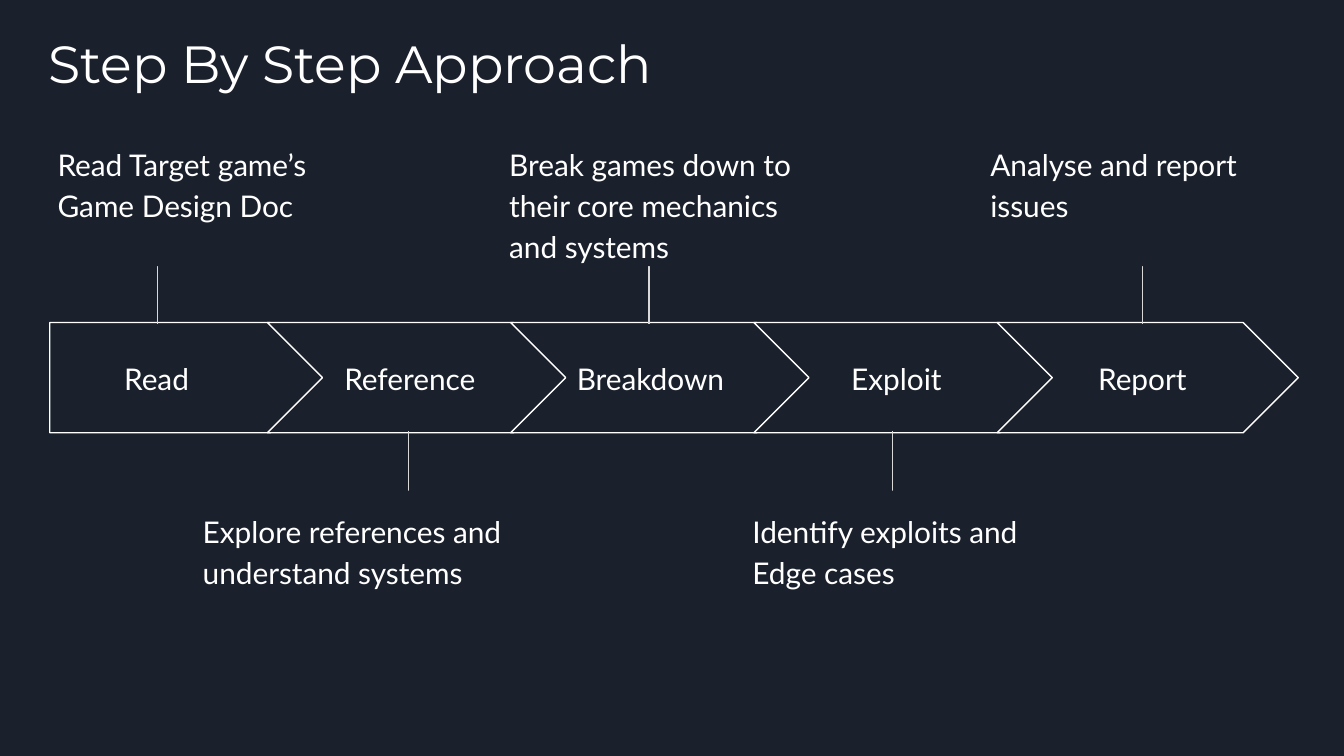
from lxml import etree
from pptx import Presentation
from pptx.dml.color import RGBColor
from pptx.enum.shapes import MSO_CONNECTOR, MSO_SHAPE
from pptx.enum.text import MSO_ANCHOR, PP_ALIGN
from pptx.oxml.ns import qn
from pptx.util import Inches, Pt

PENTAGON, CHEVRON, OVAL = MSO_SHAPE.PENTAGON, MSO_SHAPE.CHEVRON, MSO_SHAPE.OVAL
STRAIGHT = MSO_CONNECTOR.STRAIGHT
TOP, MIDDLE = MSO_ANCHOR.TOP, MSO_ANCHOR.MIDDLE
LEFT, CENTER = PP_ALIGN.LEFT, PP_ALIGN.CENTER

BACKGROUND, WHITE, STEM_COLOR = "1B212C", "FFFFFF", "D9D9D9"
TITLE = "Step By Step Approach"
STEPS = [
    {"name": "Read", "detail": "Read Target game’s Game Design Doc",
     "label_left": 0.37, "stem": 1.17, "detail_left": 0.33},
    {"name": "Reference", "detail": "Explore references and understand systems",
     "label_left": 2.33, "stem": 3.04, "detail_left": 1.41},
    {"name": "Breakdown", "detail": "Break games down to their core mechanics and systems",
     "label_left": 4.12, "stem": 4.83, "detail_left": 3.69},
    {"name": "Exploit", "detail": "Identify exploits and Edge cases",
     "label_left": 5.95, "stem": 6.64, "detail_left": 5.5},
    {"name": "Report", "detail": "Analyse and report issues",
     "label_left": 7.78, "stem": 8.5, "detail_left": 7.27},
]
ABOVE = {"stem_start": 1.8, "stem_end": 2.41, "dot_top": 1.76, "detail_top": 0.95}
BELOW = {"stem_start": 3.82, "stem_end": 3.21, "dot_top": 3.65, "detail_top": 3.68}

SLIDE_WIDTH = 10
SLIDE_HEIGHT = SLIDE_WIDTH * 9 / 16
ARROW_TOP, ARROW_HEIGHT = 2.4, 0.82
FIRST_LEFT, FIRST_WIDTH = 0.37, 2.05
CHEVRON_LEFT, CHEVRON_WIDTH, CHEVRON_STEP = 1.99, 2.24, 1.81
DOT_SIZE = 0.22


def color(value):
    return RGBColor.from_string(value)


def format_text(shape, text, size, font, anchor=TOP, alignment=LEFT):
    frame = shape.text_frame
    frame.word_wrap = True
    frame.vertical_anchor = anchor
    frame.margin_left = frame.margin_right = Inches(0.1)
    frame.margin_top = frame.margin_bottom = Inches(0.1)
    frame.text = text
    paragraph = frame.paragraphs[0]
    paragraph.alignment = alignment
    run_font = paragraph.runs[0].font
    run_font.size, run_font.name = Pt(size), font
    run_font.color.rgb = color(WHITE)
    return paragraph


def add_text(slide, box, text, **options):
    shape = slide.shapes.add_textbox(*map(Inches, box))
    return format_text(shape, text, 16, "Lato", **options)


def add_filled(slide, kind, box, outlined):
    shape = slide.shapes.add_shape(kind, *map(Inches, box))
    shape.shadow.inherit = False
    shape.fill.solid()
    shape.fill.fore_color.rgb = color(BACKGROUND)
    if outlined:
        shape.line.color.rgb = color(WHITE)
        shape.line.width = Pt(0.75)
    else:
        shape.line.fill.background()


def add_stem(slide, x, start, end):
    stem = slide.shapes.add_connector(STRAIGHT, *map(Inches, (x, start, x, end)))
    stem.line.color.rgb = color(STEM_COLOR)
    stem.line.width = Pt(0.75)
    etree.SubElement(stem._element.spPr, qn("a:effectLst"))


def add_step(slide, index, step):
    first = index == 0
    side = BELOW if index % 2 else ABOVE
    left = FIRST_LEFT if first else CHEVRON_LEFT + CHEVRON_STEP * (index - 1)
    width = FIRST_WIDTH if first else CHEVRON_WIDTH
    add_filled(slide, PENTAGON if first else CHEVRON,
               (left, ARROW_TOP, width, ARROW_HEIGHT), True)
    add_text(slide, (step["label_left"], 2.56, 1.59 if first else 1.44, 0.51),
             step["name"], anchor=MIDDLE, alignment=CENTER)
    add_stem(slide, step["stem"], side["stem_start"], side["stem_end"])
    add_filled(slide, OVAL, (step["stem"] - DOT_SIZE / 2, side["dot_top"],
                             DOT_SIZE, DOT_SIZE), False)
    paragraph = add_text(slide, (step["detail_left"], side["detail_top"], 2.45, 0.99),
                         step["detail"])
    paragraph.line_spacing = 1.15
    paragraph.space_after = Pt(16)


def main():
    presentation = Presentation()
    presentation.slide_width = Inches(SLIDE_WIDTH)
    presentation.slide_height = Inches(SLIDE_HEIGHT)
    slide = presentation.slides.add_slide(presentation.slide_layouts[5])
    slide.background.fill.solid()
    slide.background.fill.fore_color.rgb = color(BACKGROUND)

    title = slide.shapes.title
    title.left, title.top, title.width, title.height = map(Inches, (0.26, 0.13, 7.7, 1))
    format_text(title, TITLE, 28, "Montserrat")
    for index, step in enumerate(STEPS):
        add_step(slide, index, step)
    presentation.save("out.pptx")


if __name__ == "__main__":
    main()
